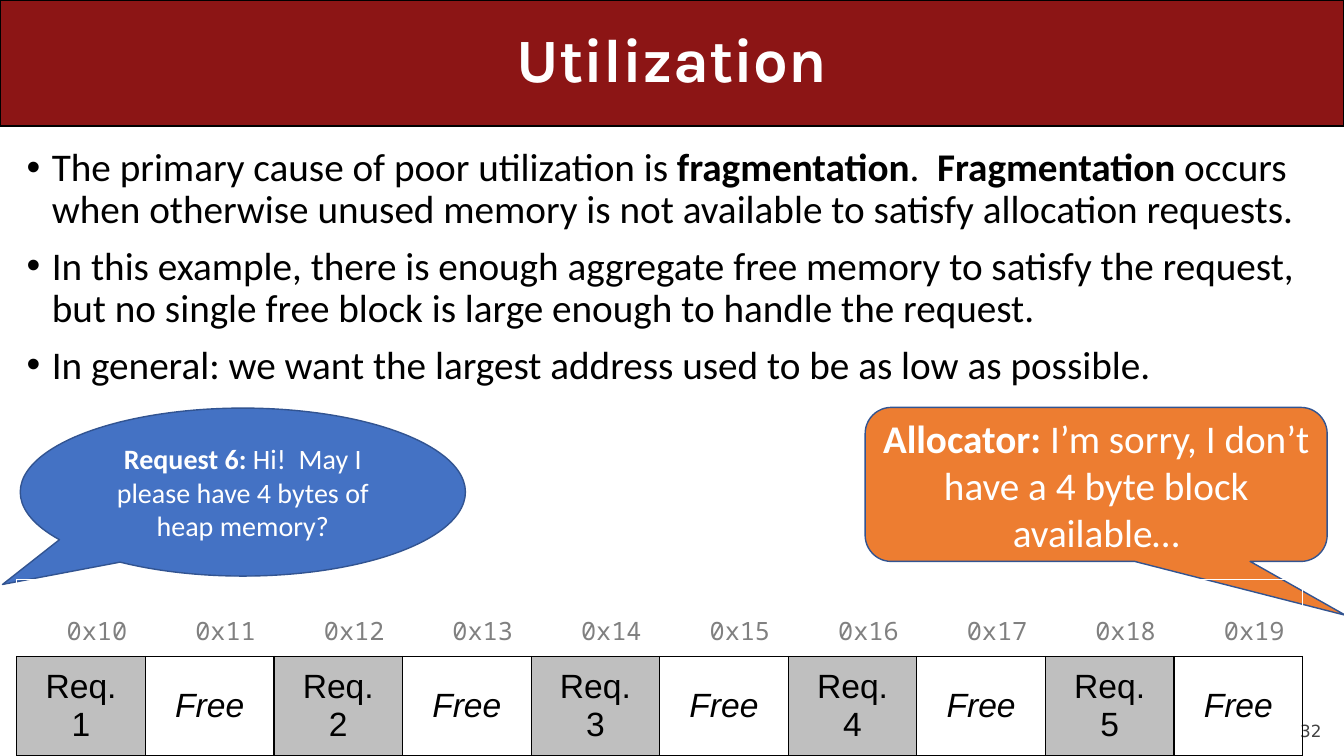
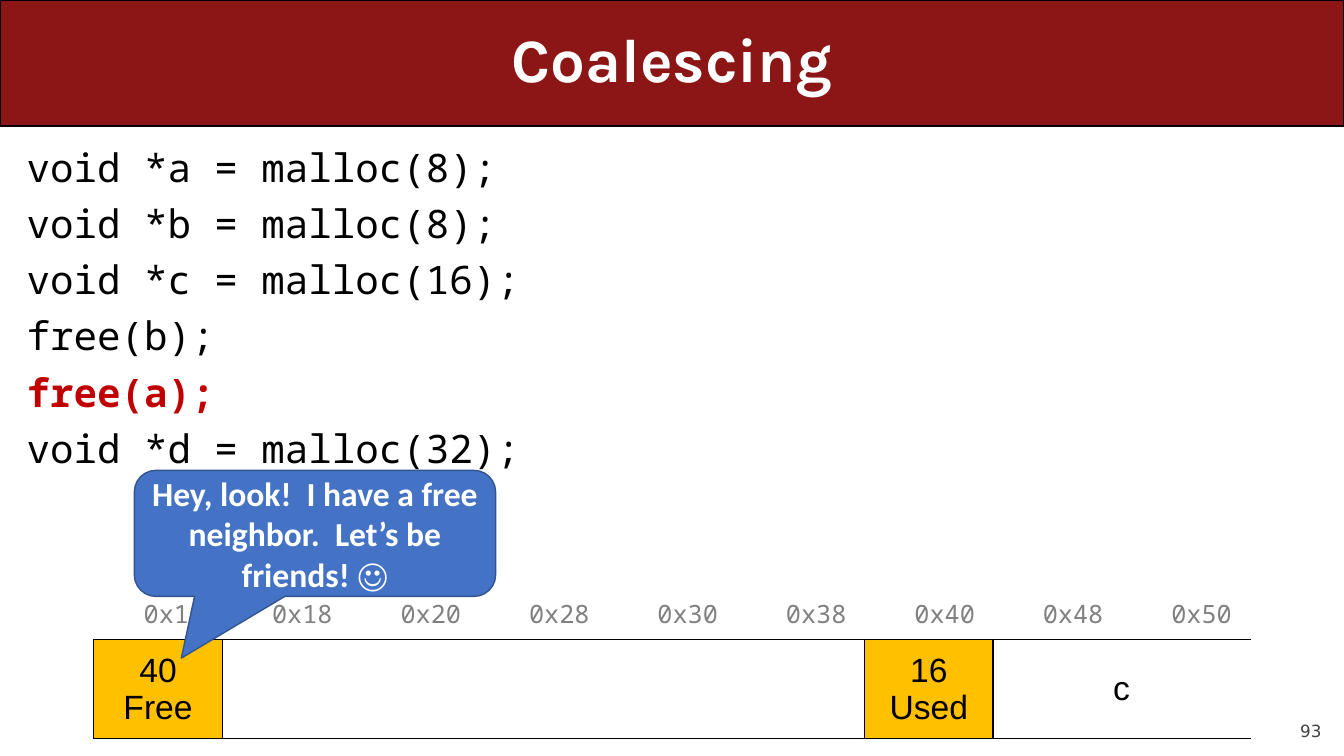
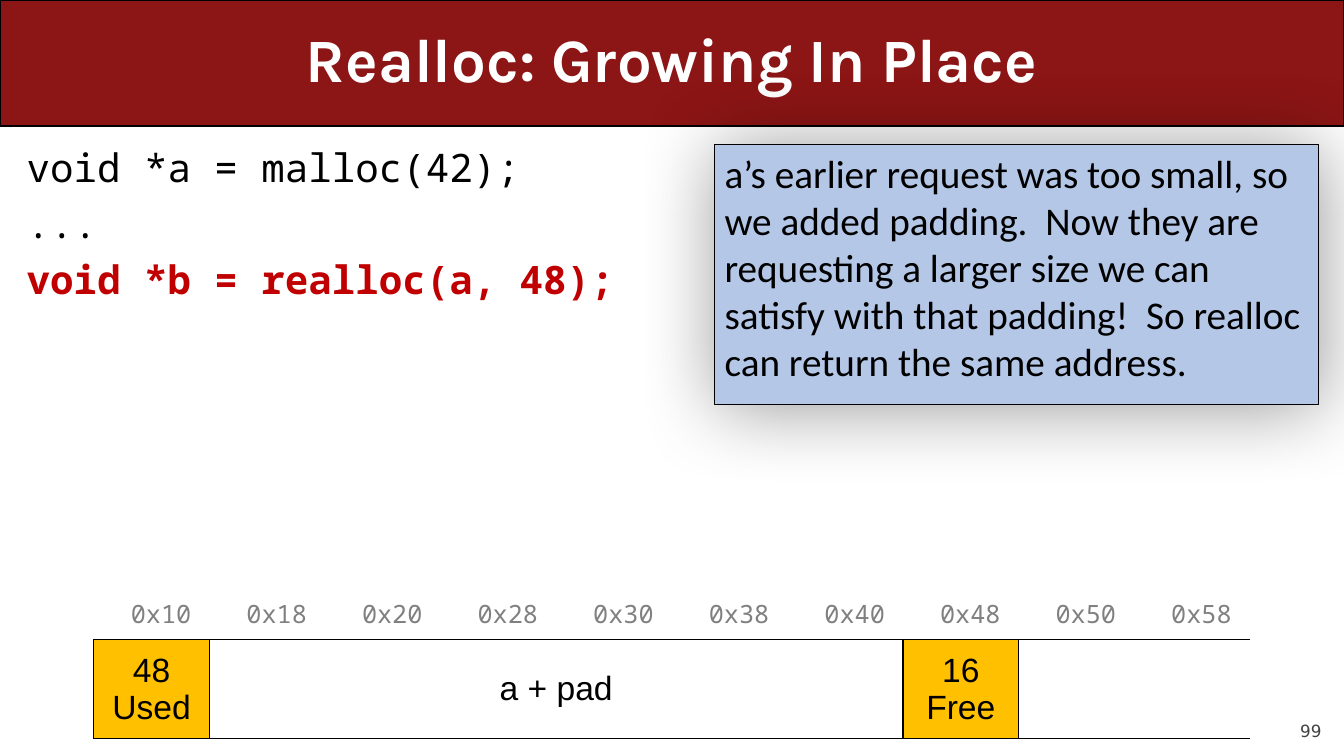
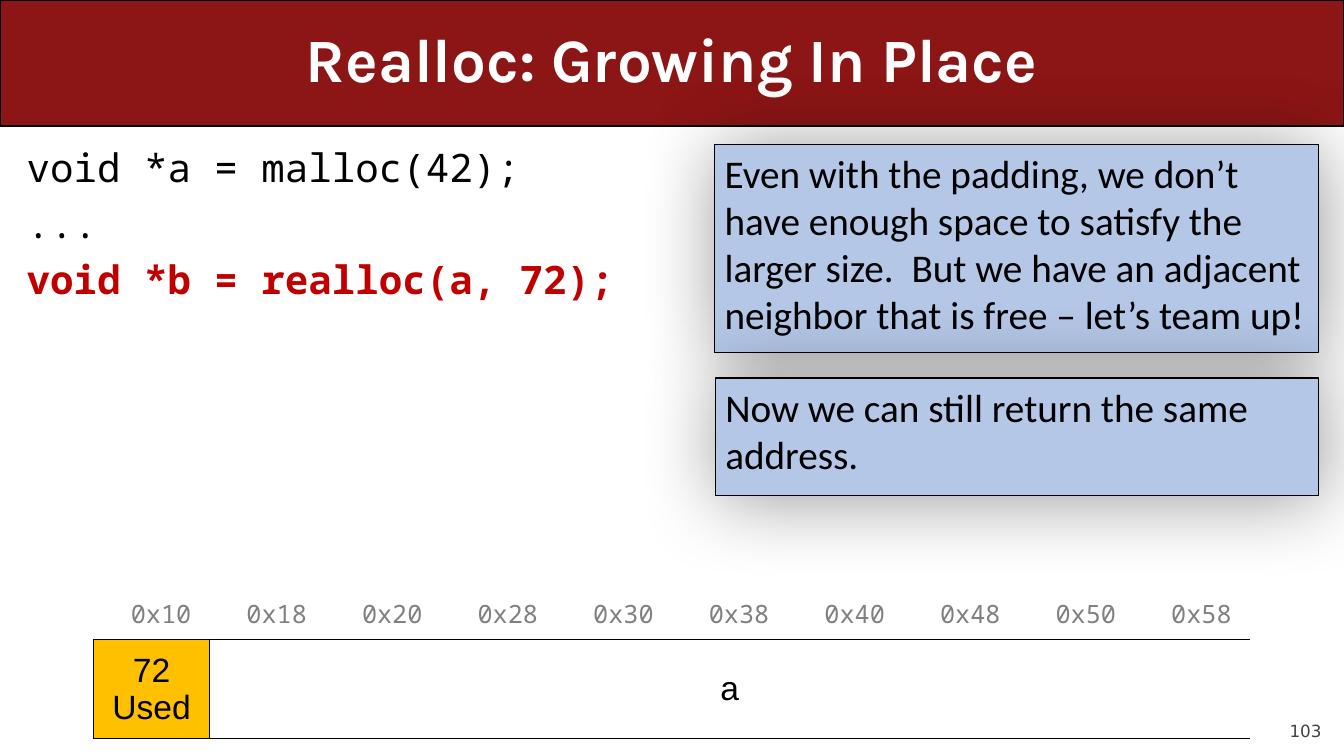
from lxml.etree import SubElement as Sub
from pptx import Presentation
from pptx.dml.color import RGBColor as RGB
from pptx.enum.shapes import MSO_SHAPE as Shape
from pptx.enum.text import MSO_ANCHOR as Anchor, PP_ALIGN as Align
from pptx.oxml.ns import qn
from pptx.util import Pt

BLACK = RGB(0x00, 0x00, 0x00)
WHITE = RGB(0xFF, 0xFF, 0xFF)
BRICK = RGB(0x8C, 0x15, 0x15)
RED = RGB(0xC0, 0x00, 0x00)
BLUE = RGB(0x44, 0x72, 0xC4)
NAVY = RGB(0x32, 0x54, 0x91)
ORANGE = RGB(0xED, 0x7D, 0x31)
PALE = RGB(0xB4, 0xC7, 0xE7)
GOLD = RGB(0xFF, 0xC0, 0x00)
SILVER = RGB(0xBF, 0xBF, 0xBF)
GRAY = RGB(0x80, 0x80, 0x80)
DARK = RGB(0x42, 0x42, 0x42)

SANS, MONO, HEAD, CELL, FOOT = "Calibri", "Noto Sans Mono", "Karla", "Arial", "DejaVu Sans"
WIDTH, HEIGHT, BAND = 960, 540, 90


class Deck:
    """Hold the house style and the slide being built."""

    def __init__(self):
        self.prs = Presentation()
        self.prs.slide_width, self.prs.slide_height = Pt(WIDTH), Pt(HEIGHT)
        self.slide = None

    def start(self, title, page):
        self.slide = self.prs.slides.add_slide(self.prs.slide_layouts[5])
        head = self.slide.shapes.title
        head.left, head.top, head.width, head.height = Pt(36), Pt(0), Pt(888), Pt(BAND)
        frame = head.text_frame
        frame.text = title
        frame.vertical_anchor = Anchor.MIDDLE
        frame.paragraphs[0].line_spacing = 0.9
        self.style(frame, HEAD, 44, WHITE, Align.CENTER, True)
        band = self.shape(Shape.ROUNDED_RECTANGLE, (0, 0, WIDTH, BAND), BRICK, BLACK, 0.75, [0])
        head.element.addprevious(band.element)
        foot = self.box((864, 500, 80, 29))
        foot.text = str(page)
        foot.vertical_anchor = Anchor.BOTTOM
        foot.margin_left = foot.margin_right = foot.margin_top = foot.margin_bottom = 0
        self.style(foot, FOOT, 12, DARK, Align.RIGHT)

    def style(self, frame, name, size, color, align, bold=None):
        for par in frame.paragraphs:
            par.alignment = align
            for run in par.runs:
                font = run.font
                font.name, font.size, font.color.rgb = name, Pt(size), color
                if bold is not None:
                    font.bold = bold

    def mark(self, par, text):
        for i, part in enumerate(text.split("**")):
            if part:
                run = par.add_run()
                run.text = part
                run.font.bold = i % 2 == 1

    def box(self, area):
        frame = self.slide.shapes.add_textbox(*map(Pt, area)).text_frame
        frame.word_wrap = True
        return frame

    def shape(self, kind, area, fill, edge, weight, bends=()):
        item = self.slide.shapes.add_shape(kind, *map(Pt, area))
        item.shadow.inherit = False
        item.fill.solid()
        item.fill.fore_color.rgb = fill
        item.line.color.rgb = edge
        item.line.width = Pt(weight)
        for i, bend in enumerate(bends):
            item.adjustments[i] = bend
        return item

    def lines(self, area, texts, space):
        frame = self.box(area)
        for i, text in enumerate(texts):
            par = frame.add_paragraph() if i else frame.paragraphs[0]
            self.mark(par, text)
            par.line_spacing = space
            par.space_before = Pt(10 if i else 0)
        return frame

    def bullets(self, texts):
        frame = self.lines((12, 102, 930, 168), texts, 0.9)
        for par in frame.paragraphs:
            props = par._p.get_or_add_pPr()
            props.set("marL", str(Pt(18)))
            props.set("indent", str(Pt(-18)))
            Sub(props, qn("a:buFont"), typeface="Arial")
            Sub(props, qn("a:buChar"), char="•")
        self.style(frame, SANS, 28, BLACK, Align.LEFT)

    def code(self, texts):
        frame = self.lines((12, 102, 930, 300), texts, Pt(30.2))
        self.style(frame, MONO, 28, BLACK, Align.LEFT)
        for par in frame.paragraphs:
            for run in par.runs:
                if run.font.bold:
                    run.font.color.rgb = RED

    def bubble(self, kind, area, fill, bends, text, size):
        frame = self.shape(kind, area, fill, NAVY, 1, bends).text_frame
        frame.word_wrap = True
        frame.vertical_anchor = Anchor.MIDDLE
        self.mark(frame.paragraphs[0], text)
        self.style(frame, SANS, size, WHITE, Align.CENTER)

    def note(self, area, text):
        item = self.shape(Shape.RECTANGLE, area, PALE, BLACK, 0.75)
        glow = Sub(item.element.spPr.find(qn("a:effectLst")), qn("a:outerShdw"),
                   blurRad=str(Pt(58)), dist=str(Pt(3)), dir="2700000", rotWithShape="0")
        tint = Sub(glow, qn("a:srgbClr"), val=str(BLACK))
        Sub(tint, qn("a:alpha"), val="40000")
        frame = item.text_frame
        frame.word_wrap = True
        frame.vertical_anchor = Anchor.TOP
        frame.text = text
        self.style(frame, SANS, 28, BLACK, Align.LEFT)

    def cell(self, cell, fill, anchor, sides):
        cell.margin_left = cell.margin_right = Pt(13)
        cell.margin_top = cell.margin_bottom = Pt(6.5)
        cell.vertical_anchor = anchor
        props = cell._tc.get_or_add_tcPr()
        for side in sides:
            line = Sub(props, qn("a:ln" + side), w=str(Pt(1)))
            Sub(Sub(line, qn("a:solidFill")), qn("a:srgbClr"), val=str(BLACK))
        if fill:
            cell.fill.solid()
            cell.fill.fore_color.rgb = fill
        else:
            cell.fill.background()

    def heap(self, left, top, width, count, step, blocks):
        area = map(Pt, (left, top, width, 122))
        table = self.slide.shapes.add_table(2, count, *area).table
        table.first_row = table.horz_banding = False
        table.rows[0].height, table.rows[1].height = Pt(55), Pt(67)
        for i, col in enumerate(table.columns):
            col.width = Pt(width / count)
            cell = table.cell(0, i)
            cell.text = f"0x{16 + i * step:x}"
            self.cell(cell, None, Anchor.BOTTOM, "B")
            self.style(cell.text_frame, MONO, 18, GRAY, Align.RIGHT)
        spot = 0
        for text, span, fill in blocks:
            first, last = table.cell(1, spot), table.cell(1, spot + span - 1)
            if span > 1:
                first.merge(last)
            for i in range(span):
                sides = "L" * (i == 0) + "R" * (i == span - 1) + "TB"
                self.cell(table.cell(1, spot + i), fill, Anchor.MIDDLE, sides)
            first.text = text
            self.style(first.text_frame, CELL, 24, BLACK, Align.CENTER)
            if text == "Free":
                first.text_frame.paragraphs[0].runs[0].font.italic = True
            spot += span

    def words(self, count, blocks):
        self.heap(67, 402, 826, count, 8, blocks)


def main():
    deck = Deck()

    deck.start("Utilization", 32)
    deck.bullets([
        "The primary cause of poor utilization is **fragmentation**.  **Fragmentation **"
        "occurs when otherwise unused memory is not available to satisfy allocation requests.",
        "In this example, there is enough aggregate free memory to satisfy the request, "
        "but no single free block is large enough to handle the request.",
        "In general: we want the largest address used to be as low as possible.",
    ])
    deck.bubble(Shape.OVAL_CALLOUT, (14.5, 291.5, 318, 120), BLUE, (-0.54, 0.55),
                "**Request 6:** Hi!  May I please have 4 bytes of heap memory?", 20)
    deck.bubble(Shape.ROUNDED_RECTANGULAR_CALLOUT, (618, 291, 330, 110), ORANGE,
                (0.54, 0.85, 0.17),
                "**Allocator: **I’m sorry, I don’t have a 4 byte block available…", 28)
    pairs = [[(f"Req. {n}", 1, SILVER), ("Free", 1, None)] for n in range(1, 6)]
    deck.heap(12, 414, 918.5, 10, 1, sum(pairs, []))

    deck.start("Coalescing", 93)
    deck.code(["void *a = malloc(8);", "void *b = malloc(8);", "void *c = malloc(16);",
               "free(b);", "**free(a);**", "void *d = malloc(32);"])
    deck.words(9, [("40\nFree", 1, GOLD), ("", 5, None), ("16\nUsed", 1, GOLD), ("c", 2, None)])
    deck.bubble(Shape.ROUNDED_RECTANGULAR_CALLOUT, (96, 336, 258, 90), BLUE,
                (-0.37, 0.99, 0.17),
                "**Hey, look!  I have a free neighbor.  Let’s be friends! ☺**", 24)

    grow = "Realloc: Growing In Place"
    deck.start(grow, 99)
    deck.code(["void *a = malloc(42);", "...", "**void *b = realloc(a, 48);**"])
    deck.words(10, [("48\nUsed", 1, GOLD), ("a + pad", 6, None),
                    ("16\nFree", 1, GOLD), ("", 2, None)])
    deck.note((510.5, 103, 431, 186),
              "a’s earlier request was too small, so we added padding.  Now they are requesting "
              "a larger size we can satisfy with that padding!  So realloc can return the same "
              "address.")

    deck.start(grow, 103)
    deck.code(["void *a = malloc(42);", "...", "**void *b = realloc(a, 72);**"])
    deck.words(10, [("72\nUsed", 1, GOLD), ("a", 9, None)])
    deck.note((510.5, 103, 431, 149),
              "Even with the padding, we don’t have enough space to satisfy the larger size.  "
              "But we have an adjacent neighbor that is free – let’s team up!")
    deck.note((511, 270, 430.5, 84), "Now we can still return the same address.")

    deck.prs.save("out.pptx")


if __name__ == "__main__":
    main()
